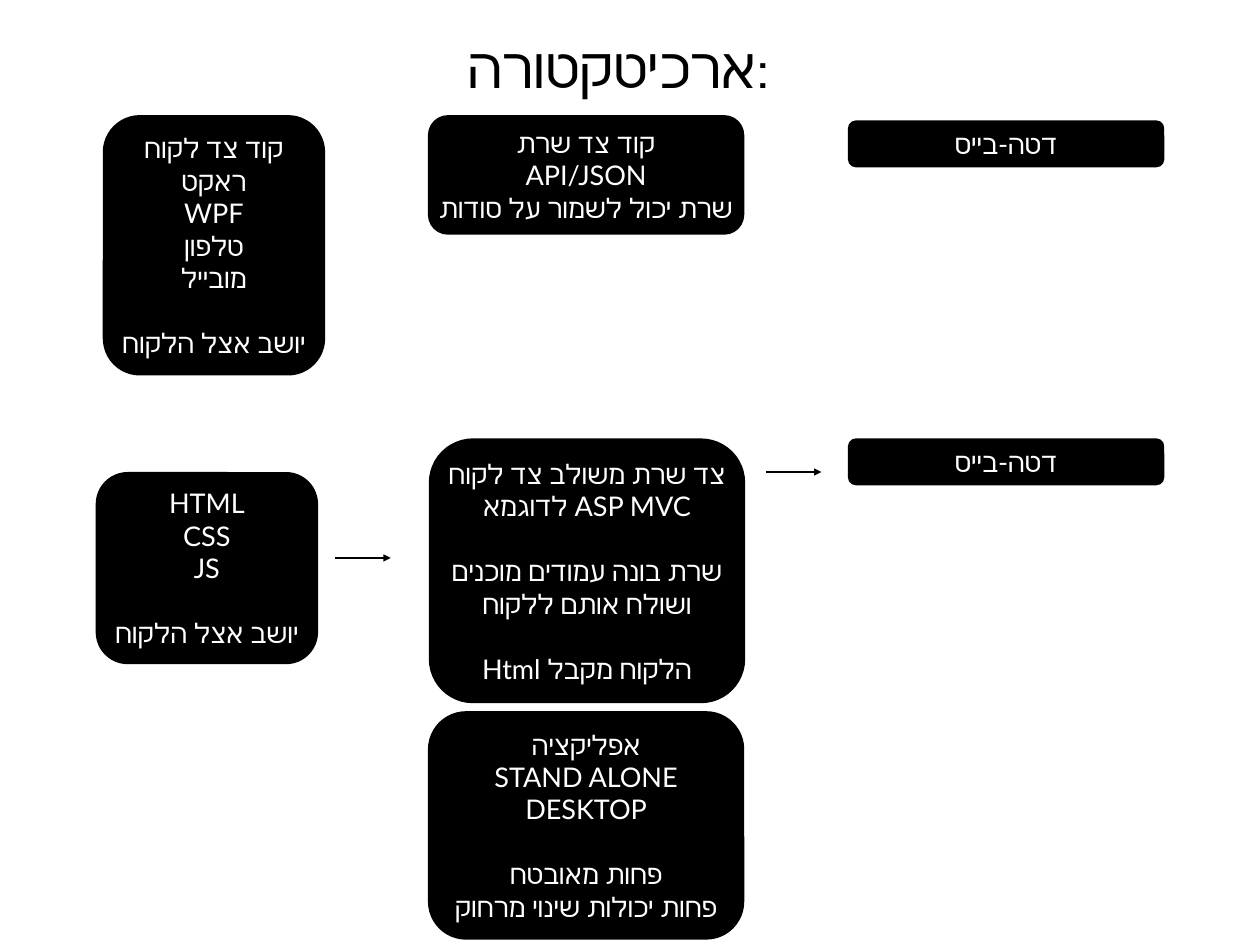
"""Build the architecture slide with its boxes and arrows."""
from dataclasses import dataclass

from lxml import etree
from pptx import Presentation
from pptx.dml.color import RGBColor
from pptx.enum.shapes import MSO_CONNECTOR, MSO_SHAPE
from pptx.enum.text import MSO_ANCHOR, MSO_AUTO_SIZE, PP_ALIGN
from pptx.oxml.ns import qn
from pptx.slide import Slide
from pptx.text.text import TextFrame
from pptx.util import Inches, Pt

ROUND = MSO_SHAPE.ROUNDED_RECTANGLE
STRAIGHT = MSO_CONNECTOR.STRAIGHT
MIDDLE = MSO_ANCHOR.MIDDLE
FIXED = MSO_AUTO_SIZE.NONE
CENTER = PP_ALIGN.CENTER


@dataclass(frozen=True)
class Theme:
    dark: RGBColor = RGBColor(0, 0, 0)
    light: RGBColor = RGBColor(255, 255, 255)
    head: str = "Cabin"
    body: str = "Lato"
    big: float = 45.9
    small: float = 22
    gap: float = 26.4


@dataclass(frozen=True)
class Box:
    left: float
    top: float
    width: float
    height: float
    groups: tuple[tuple[str, ...], ...]


@dataclass(frozen=True)
class Arrow:
    left: float
    top: float
    length: float = 0.63


THEME = Theme()
SLIM, WIDE, FLAT = 2.51, 3.57, 0.53
MID, RIGHT = 4.83, 9.57
UPPER, LOWER = 1.3, 4.95
CLIENT = ("יושב אצל הלקוח",)
DATA = (("דטה-בייס",),)

BOXES = (
    Box(1.16, UPPER, SLIM, 2.94,
        (("קוד צד לקוח", "ראקט", "WPF", "טלפון", "מובייל"), CLIENT)),
    Box(MID, UPPER, WIDE, 1.35,
        (("קוד צד שרת", "API/JSON", "שרת יכול לשמור על סודות"),)),
    Box(RIGHT, 1.36, WIDE, FLAT, DATA),
    Box(4.84, LOWER, WIDE, 2.99,
        (("צד שרת משולב צד לקוח", "לדוגמא ASP MVC"),
         ("שרת בונה עמודים מוכנים", "ושולח אותם ללקוח"),
         ("Html הלקוח מקבל",))),
    Box(RIGHT, LOWER, WIDE, FLAT, DATA),
    Box(MID, 8.03, WIDE, 2.58,
        (("אפליקציה", "STAND ALONE", "DESKTOP"),
         ("פחות מאובטח", "פחות יכולות שינוי מרחוק"))),
    Box(1.08, 5.33, SLIM, 2.17, (("HTML", "CSS", "JS"), CLIENT)),
)
ARROWS = (Arrow(3.78, 6.3), Arrow(8.64, 5.33))


def set_all(item: object, values: dict[str, object]) -> None:
    for name, value in values.items():
        setattr(item, name, value)


def set_frame(frame: TextFrame, inset: float) -> None:
    sides = ("left", "top", "right", "bottom")
    set_all(frame, {f"margin_{side}": Inches(inset) for side in sides})
    set_all(frame, {"word_wrap": True, "auto_size": FIXED,
                    "vertical_anchor": MIDDLE})


def add_line(frame: TextFrame, text: str, first: bool, face: str, size: float,
             color: RGBColor, form: dict[str, object]) -> None:
    para = frame.paragraphs[0] if first else frame.add_paragraph()
    set_all(para, {"alignment": CENTER, **form})
    run = para.add_run()
    run.text = text
    set_all(run.font, {"name": face, "size": Pt(size)})
    run.font.color.rgb = color
    etree.SubElement(run.font._element, qn("a:cs"), typeface=face)


def add_title(slide: Slide, text: str) -> None:
    title = slide.shapes.title
    set_all(title, {"left": Inches(0.57), "top": Inches(0),
                    "width": Inches(12.81), "height": Inches(1.58)})
    set_frame(title.text_frame, 0.05)
    add_line(title.text_frame, text, True, THEME.head, THEME.big, THEME.dark,
             {"line_spacing": 0.9})


def add_box(slide: Slide, box: Box) -> None:
    shape = slide.shapes.add_shape(ROUND, Inches(box.left), Inches(box.top),
                                   Inches(box.width), Inches(box.height))
    shape.shadow.inherit = False
    shape.fill.solid()
    shape.fill.fore_color.rgb = THEME.dark
    shape.line.fill.background()
    set_frame(shape.text_frame, 0.06)
    for part, group in enumerate(box.groups):
        for row, text in enumerate(group):
            space = THEME.gap if part and not row else 0
            add_line(shape.text_frame, text, not part and not row, THEME.body,
                     THEME.small, THEME.light, {"space_before": Pt(space)})


def add_arrow(slide: Slide, arrow: Arrow) -> None:
    line = slide.shapes.add_connector(
        STRAIGHT, Inches(arrow.left), Inches(arrow.top),
        Inches(arrow.left + arrow.length), Inches(arrow.top))
    line.line.width = Pt(1)
    line.line.color.rgb = THEME.dark
    etree.SubElement(line.line._get_or_add_ln(), qn("a:tailEnd"),
                     type="triangle")
    etree.SubElement(line._element.spPr, qn("a:effectLst"))


def main() -> None:
    deck = Presentation()
    set_all(deck, {"slide_width": Inches(14.22),
                   "slide_height": Inches(10.67)})
    slide = deck.slides.add_slide(deck.slide_layouts.get_by_name("Title Only"))
    add_title(slide, "ארכיטקטורה:")
    for box in BOXES:
        add_box(slide, box)
    for arrow in ARROWS:
        add_arrow(slide, arrow)
    deck.save("out.pptx")


if __name__ == "__main__":
    main()
